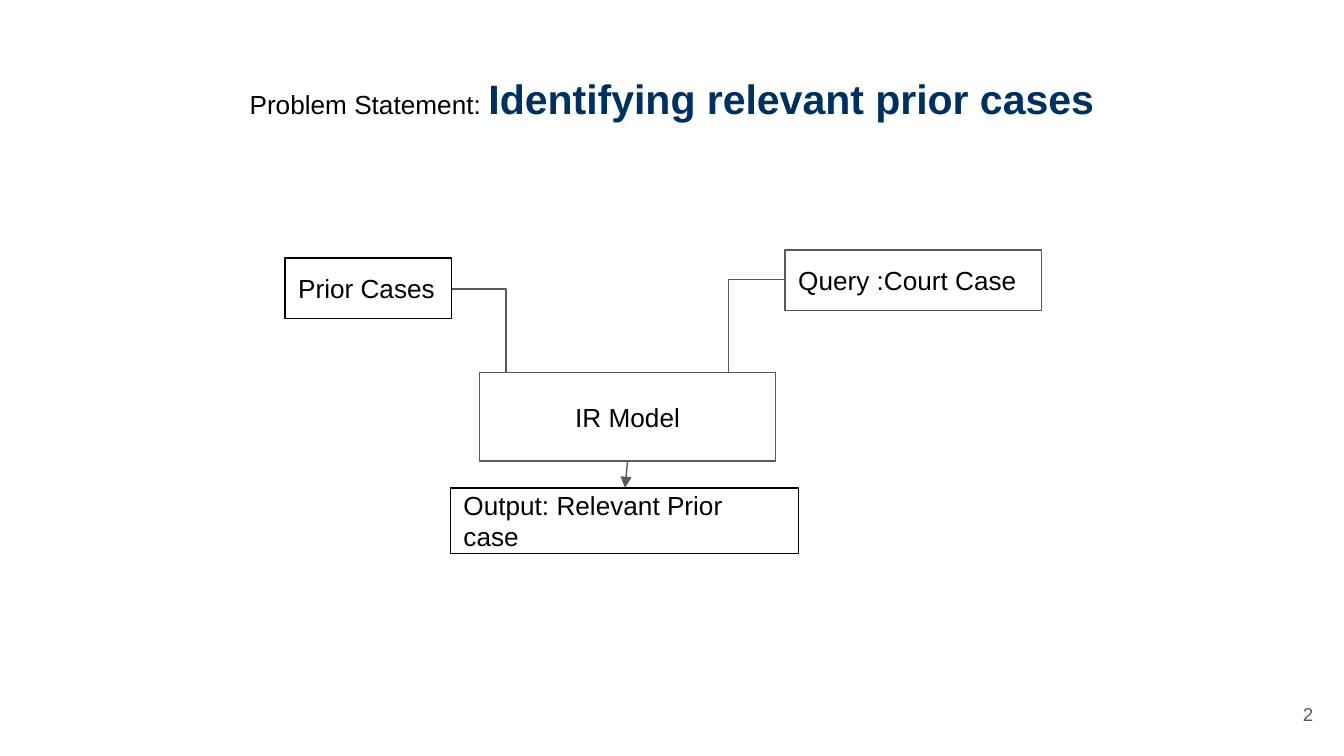
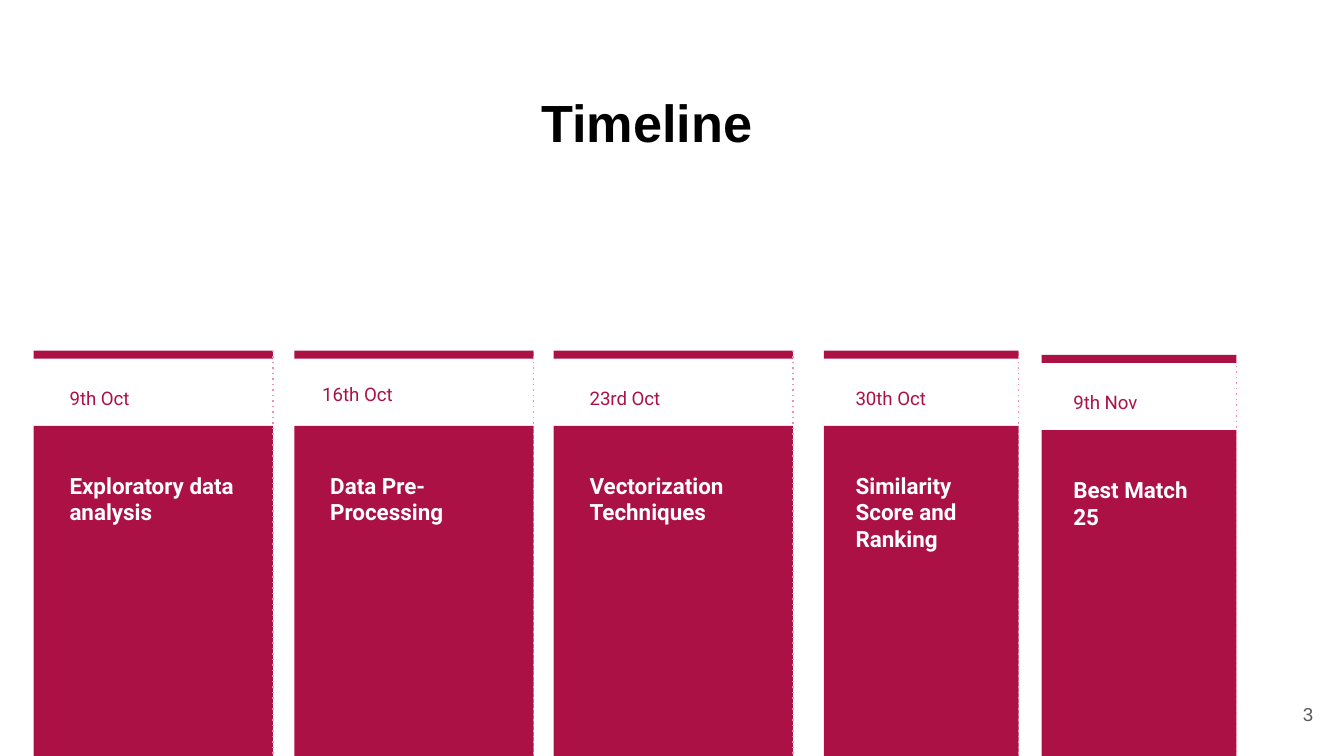
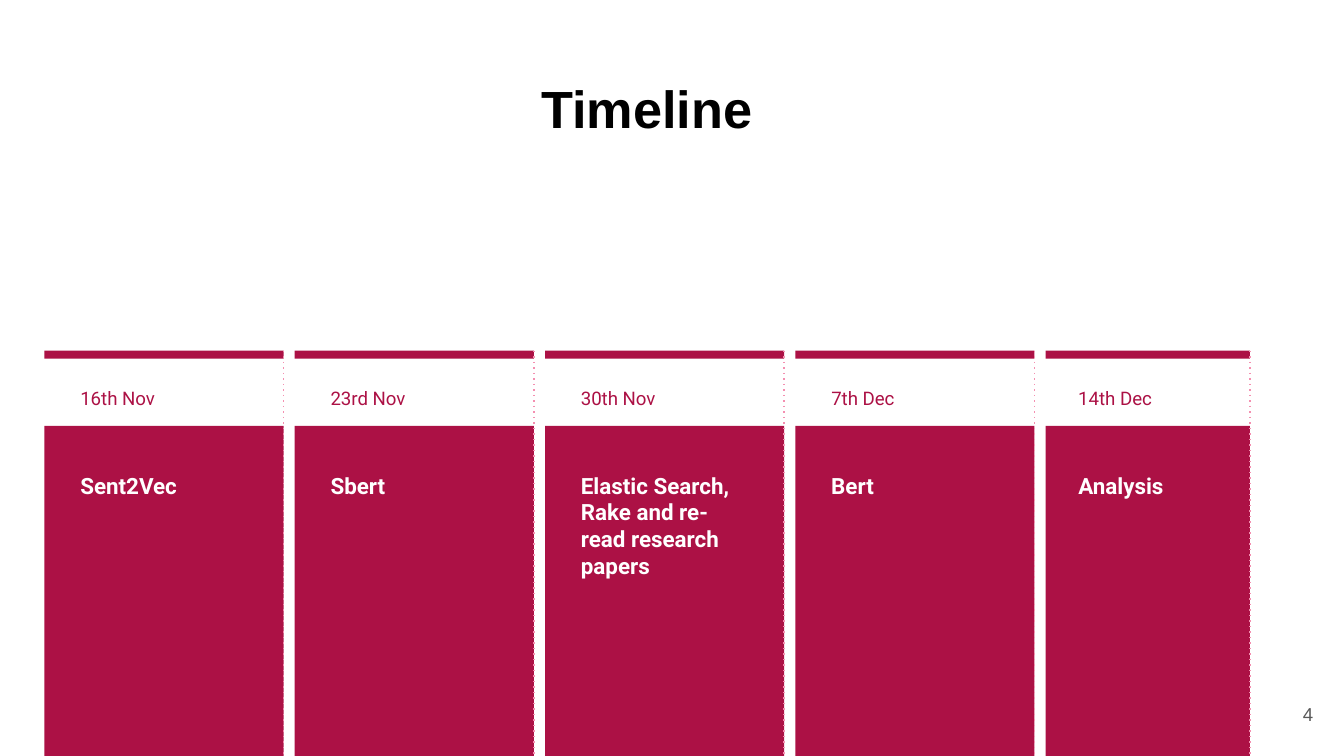
from dataclasses import dataclass

from lxml.etree import SubElement
from pptx import Presentation
from pptx.dml.color import RGBColor
from pptx.enum.shapes import MSO_CONNECTOR as Connector, MSO_SHAPE as Shape
from pptx.enum.text import MSO_ANCHOR as Anchor, PP_ALIGN as Align
from pptx.oxml.ns import qn
from pptx.util import Inches, Pt


@dataclass(frozen=True)
class Theme:
    black: str = "000000"
    white: str = "FFFFFF"
    grey: str = "595959"
    navy: str = "00305F"
    crimson: str = "AC1145"
    pink: str = "F48FB0"
    base_font: str = "Arial"
    timeline_font: str = "Roboto"
    title_size: int = 28
    headline_size: int = 22
    body_size: int = 14
    task_size: int = 12
    small_size: int = 10
    line_width: float = 0.75
    inset: float = 0.1


@dataclass(frozen=True)
class Milestone:
    left: float
    width: float
    date: str
    date_width: float
    task: str
    drop: float = 0
    date_shift: tuple = (0, 0)


@dataclass(frozen=True)
class Run:
    text: str
    size: int
    color: str
    font: str
    bold: bool = False


class Deck:
    BAR_TOP, BAR_HEIGHT = 2.61, 0.06
    DATE_TOP, DATE_HEIGHT = 2.76, 0.28
    PANEL_TOP, PANEL_HEIGHT = 3.17, 2.46
    TASK_TOP, TASK_HEIGHT = 3.41, 0.85
    RULE_LENGTH = 3.01
    TEXT_SHARE = 0.81

    def __init__(self, theme):
        self.theme = theme
        self.presentation = Presentation()
        self.presentation.slide_width = Inches(10)
        self.presentation.slide_height = Inches(10) * 9 // 16
        self.slide = None

    def new_slide(self, number):
        self.slide = self.presentation.slides.add_slide(self.presentation.slide_layouts[6])
        run = Run(str(number), self.theme.small_size, self.theme.grey, self.theme.base_font)
        self.text((9.27, 5.1, 0.6, 0.43), [run], align=Align.RIGHT, anchor=Anchor.MIDDLE)

    def fill_frame(self, shape, runs, align=Align.LEFT, anchor=Anchor.TOP):
        """Write the runs as one paragraph and return that paragraph."""
        frame = shape.text_frame
        frame.word_wrap = True
        frame.vertical_anchor = anchor
        inset = Inches(self.theme.inset)
        frame.margin_left = frame.margin_right = inset
        frame.margin_top = frame.margin_bottom = inset
        paragraph = frame.paragraphs[0]
        paragraph.alignment = align
        for item in runs:
            run = paragraph.add_run()
            run.text = item.text
            run.font.size = Pt(item.size)
            run.font.name = item.font
            run.font.bold = item.bold
            run.font.color.rgb = RGBColor.from_string(item.color)
        return paragraph

    def text(self, place, runs, parent=None, **layout):
        shapes = (parent or self.slide).shapes
        return self.fill_frame(shapes.add_textbox(*map(Inches, place)), runs, **layout)

    def rectangle(self, place, fill=None, line=None, parent=None):
        shapes = (parent or self.slide).shapes
        shape = shapes.add_shape(Shape.RECTANGLE, *map(Inches, place))
        shape.shadow.inherit = False
        if fill:
            shape.fill.solid()
            shape.fill.fore_color.rgb = RGBColor.from_string(fill)
        else:
            shape.fill.background()
        if line:
            shape.line.color.rgb = RGBColor.from_string(line)
            shape.line.width = Pt(self.theme.line_width)
        else:
            shape.line.fill.background()
        return shape

    def box(self, place, label, line, align=Align.LEFT):
        run = Run(label, self.theme.body_size, self.theme.black, self.theme.base_font)
        self.fill_frame(self.rectangle(place, line=line), [run], align, Anchor.MIDDLE)

    def connector(self, start, end, color, kind=Connector.STRAIGHT, dash=None, arrow=False,
                  parent=None):
        shapes = (parent or self.slide).shapes
        connector = shapes.add_connector(kind, *map(Inches, (*start, *end)))
        connector.line.color.rgb = RGBColor.from_string(color)
        connector.line.width = Pt(self.theme.line_width)
        properties = connector._element.spPr
        outline = properties.find(qn("a:ln"))
        if dash:
            SubElement(outline, qn("a:prstDash"), val=dash)
        if arrow:
            SubElement(outline, qn("a:tailEnd"), type="triangle")
        SubElement(properties, qn("a:effectLst"))

    def timeline_title(self, top):
        theme = self.theme
        run = Run("Timeline", theme.title_size, theme.black, theme.base_font, True)
        self.text((3.93, top, 2.14, 0.77), [run])

    def milestone(self, item):
        theme = self.theme
        group = self.slide.shapes.add_group_shape()
        text_width = item.width * self.TEXT_SHARE
        text_left = item.left + (item.width - text_width) / 2
        right = item.left + item.width
        bar_top = self.BAR_TOP + item.drop

        for top, height in ((self.PANEL_TOP + item.drop, self.PANEL_HEIGHT),
                            (bar_top, self.BAR_HEIGHT)):
            self.rectangle((item.left, top, item.width, height), theme.crimson, parent=group)

        shift_x, shift_y = item.date_shift
        date_place = (text_left + shift_x, self.DATE_TOP + item.drop + shift_y,
                      item.date_width, self.DATE_HEIGHT)
        date = Run(item.date, theme.small_size, theme.crimson, theme.timeline_font)
        paragraph = self.text(date_place, [date], group)
        paragraph.line_spacing = 1.15
        paragraph.space_after = Pt(16)

        task_place = (text_left, self.TASK_TOP + item.drop, text_width, self.TASK_HEIGHT)
        task = Run(item.task, theme.task_size, theme.white, theme.timeline_font, True)
        self.text(task_place, [task], group)
        self.connector((right, bar_top), (right, bar_top + self.RULE_LENGTH), theme.pink,
                       dash="dot", parent=group)


def problem_slide(deck):
    theme = deck.theme
    deck.new_slide(2)
    deck.text((0.34, 0.45, 9.32, 0.66), [
        Run("Problem Statement: ", theme.body_size, theme.black, theme.base_font),
        Run("Identifying relevant prior cases", theme.headline_size, theme.navy,
            theme.base_font, True),
    ], align=Align.CENTER)
    deck.box((2.12, 1.92, 1.24, 0.45), "Prior Cases", theme.black)
    deck.box((3.35, 3.63, 2.59, 0.49), "Output: Relevant Prior case", theme.black)
    deck.box((5.84, 1.86, 1.91, 0.45), "Query :Court Case", theme.grey)
    deck.box((3.57, 2.77, 2.2, 0.66), "IR Model", theme.grey, Align.CENTER)
    deck.connector((3.36, 2.15), (4.17, 2.77), theme.grey, Connector.ELBOW)
    deck.connector((5.84, 2.08), (5, 2.77), theme.grey, Connector.ELBOW)
    deck.connector((4.67, 3.43), (4.65, 3.63), theme.grey, arrow=True)


def first_timeline_slide(deck):
    deck.new_slide(3)
    deck.timeline_title(0.57)
    wide, narrow = 1.78, 1.45
    for item in (
        Milestone(0.25, wide, "9th Oct", 0.68, "Exploratory data analysis"),
        Milestone(2.19, wide, "16th Oct", 0.97, "Data Pre-Processing",
                  date_shift=(-0.06, -0.03)),
        Milestone(4.12, wide, "23rd Oct", 0.87, "Vectorization Techniques"),
        Milestone(6.13, narrow, "30th Oct", 0.73, "Similarity Score and Ranking"),
        Milestone(7.75, narrow, "9th Nov", 0.69, "Best Match 25", drop=0.03),
    ):
        deck.milestone(item)


def second_timeline_slide(deck):
    deck.new_slide(4)
    deck.timeline_title(0.47)
    first_left, last_left = 0.33, 7.78
    wide, narrow = 1.78, 1.52
    entries = (
        (wide, "16th Nov", 0.88, "Sent2Vec"),
        (wide, "23rd Nov", 0.86, "Sbert"),
        (wide, "30th Nov", 0.9, "Elastic Search, Rake and re-read research papers"),
        (wide, "7th Dec", 0.68, "Bert"),
        (narrow, "14th Dec", 0.87, "Analysis"),
    )
    pitch = (last_left - first_left) / (len(entries) - 1)
    for index, entry in enumerate(entries):
        deck.milestone(Milestone(first_left + index * pitch, *entry))


def main():
    deck = Deck(Theme())
    problem_slide(deck)
    first_timeline_slide(deck)
    second_timeline_slide(deck)
    deck.presentation.save("out.pptx")


if __name__ == "__main__":
    main()
